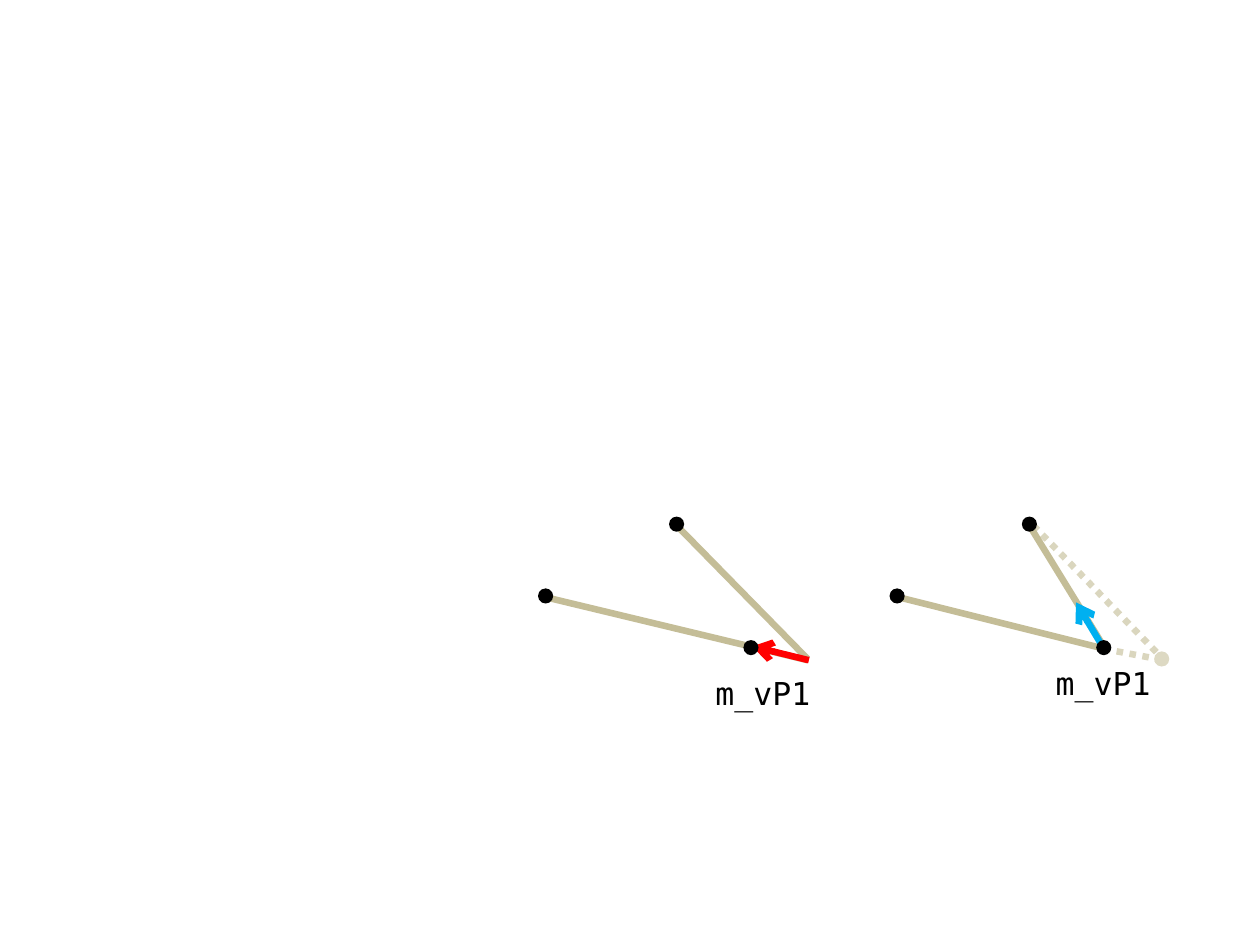
from typing import NamedTuple

from lxml.etree import SubElement
from pptx import Presentation
from pptx.dml.color import RGBColor
from pptx.enum.dml import MSO_LINE
from pptx.enum.shapes import MSO_CONNECTOR, MSO_SHAPE
from pptx.enum.text import MSO_AUTO_SIZE
from pptx.oxml.ns import qn
from pptx.util import Inches, Pt

BLACK, TAN, PALE_TAN, RED, BLUE = "000000", "C4BD97", "DDD9C3", "FF0000", "00B0F0"
DOT_SIZE = 0.12


class Segment(NamedTuple):
    start: tuple[float, float]
    end: tuple[float, float]
    color: str = TAN
    arrow: bool = False
    faded: bool = False


class Dot(NamedTuple):
    center: tuple[float, float]
    color: str = BLACK


class Panel(NamedTuple):
    segments: list[Segment]
    dots: list[Dot]
    label: tuple[float, float]


PANELS = [
    Panel(
        [
            Segment((4.33, 4.74), (6.41, 5.24)),
            Segment((5.37, 4.17), (6.41, 5.23)),
            Segment((6.42, 5.24), (5.97, 5.13), RED, arrow=True),
        ],
        [Dot((4.33, 4.73)), Dot((5.96, 5.14)), Dot((5.37, 4.16))],
        (5.58, 5.3),
    ),
    Panel(
        [
            Segment((8.76, 5.15), (9.24, 5.24), faded=True),
            Segment((8.2, 4.17), (9.24, 5.24), faded=True),
            Segment((7.13, 4.74), (8.77, 5.15)),
            Segment((8.17, 4.17), (8.76, 5.13)),
            Segment((8.75, 5.13), (8.54, 4.78), BLUE, arrow=True),
        ],
        [Dot((7.12, 4.73)), Dot((8.17, 4.16)), Dot((8.76, 5.14)), Dot((9.22, 5.23), PALE_TAN)],
        (8.28, 5.22),
    ),
]


def rgb(color: str) -> RGBColor:
    """Turn a hex string into a colour."""
    return RGBColor.from_string(color)


def draw_segment(slide, segment: Segment) -> None:
    """Draw a bone or a movement arrow."""
    ends = [Inches(value) for value in (*segment.start, *segment.end)]
    connector = slide.shapes.add_connector(MSO_CONNECTOR.STRAIGHT, *ends)
    connector.line.width = Pt(3.75)
    connector.line.color.rgb = rgb(segment.color)
    properties = connector._element.spPr
    outline = properties.find(qn("a:ln"))
    if segment.faded:
        connector.line.dash_style = MSO_LINE.ROUND_DOT
        SubElement(outline.find(".//" + qn("a:srgbClr")), qn("a:alpha"), val="62000")
    if segment.arrow:
        SubElement(outline, qn("a:tailEnd"), type="arrow")
    SubElement(properties, qn("a:effectLst"))


def draw_dot(slide, dot: Dot) -> None:
    """Draw a joint around its centre."""
    left, top = (Inches(value - DOT_SIZE / 2) for value in dot.center)
    joint = slide.shapes.add_shape(
        MSO_SHAPE.OVAL, left, top, Inches(DOT_SIZE), Inches(DOT_SIZE)
    )
    joint.shadow.inherit = False
    joint.fill.solid()
    joint.fill.fore_color.rgb = rgb(dot.color)
    joint.line.fill.background()


def draw_label(slide, position: tuple[float, float]) -> None:
    """Write the name of the moved joint."""
    left, top = (Inches(value) for value in position)
    label = slide.shapes.add_textbox(left, top, Inches(1.08), Inches(0.4))
    frame = label.text_frame
    frame.word_wrap = False
    frame.auto_size = MSO_AUTO_SIZE.SHAPE_TO_FIT_TEXT
    frame.text = "m_vP1"
    font = frame.paragraphs[0].runs[0].font
    font.name = "DejaVu Sans Mono"
    font.size = Pt(18)
    font.color.rgb = rgb(BLACK)


def main() -> None:
    """Build the slide and save it."""
    presentation = Presentation()
    presentation.slide_width = Inches(10)
    presentation.slide_height = Inches(7.5)
    slide = presentation.slides.add_slide(presentation.slide_layouts[6])
    for panel in PANELS:
        for segment in panel.segments:
            draw_segment(slide, segment)
        draw_label(slide, panel.label)
        for dot in panel.dots:
            draw_dot(slide, dot)
    presentation.save("out.pptx")


if __name__ == "__main__":
    main()
